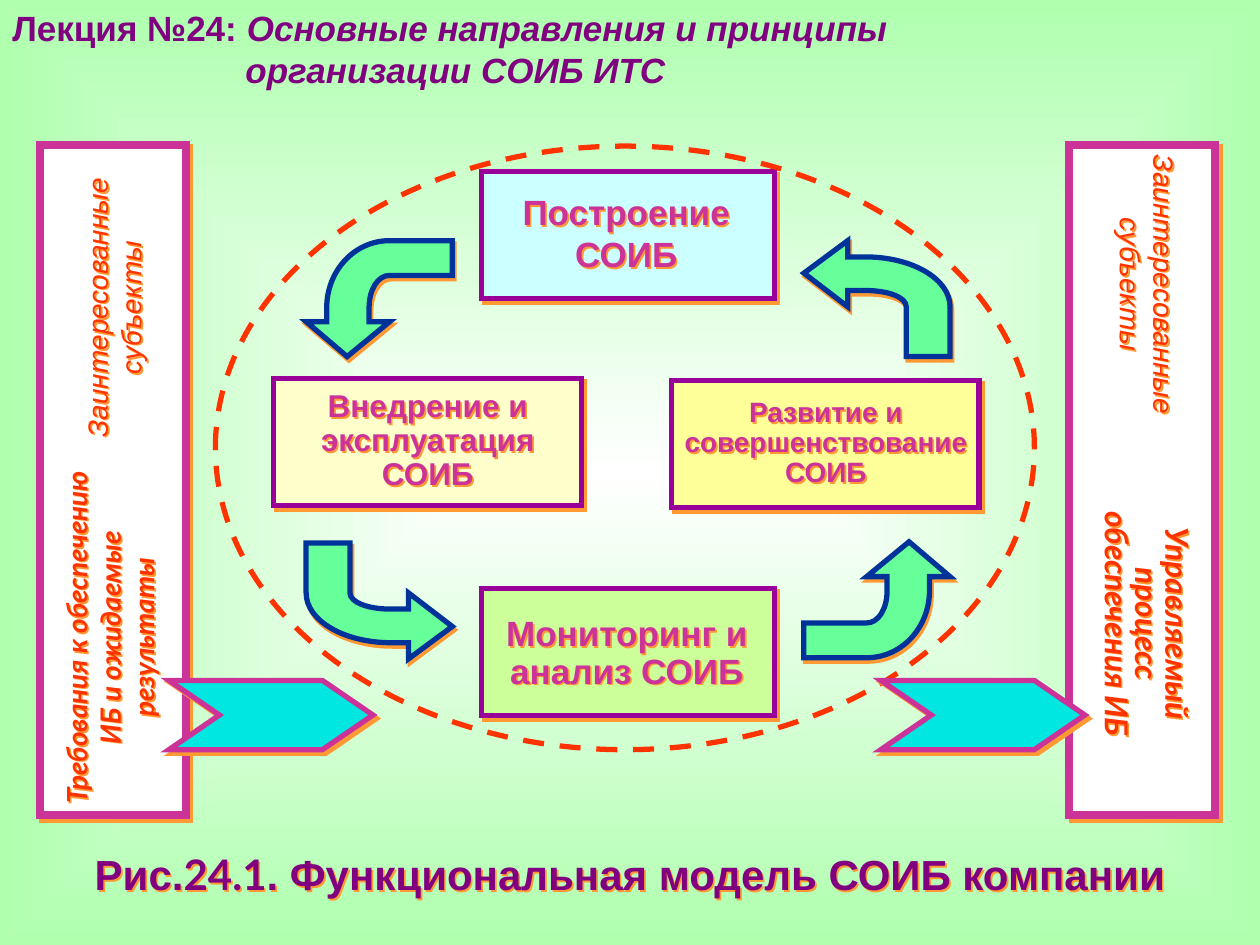
from dataclasses import dataclass
from lxml.etree import SubElement as Sub
from pptx import Presentation
from pptx.dml.color import RGBColor as Rgb
from pptx.enum.dml import MSO_LINE as Dash
from pptx.enum.shapes import MSO_SHAPE as Kind
from pptx.enum.text import MSO_ANCHOR as Anchor, MSO_AUTO_SIZE as Auto, PP_ALIGN as Align
from pptx.oxml import parse_xml
from pptx.oxml.ns import nsdecls, qn
from pptx.util import Emu, Inches, Pt

HUES = {
    "white": "FFFFFF", "mint": "AFFFAF", "plum": "800080", "pink": "CC3399",
    "edge": "990099", "glow": "FF9933", "red": "FF3300", "leaf": "66FF99",
    "navy": "003399", "aqua": "00E7E2", "sky": "CCFFFF", "lime": "CCFF99",
    "cream": "FFFFCC", "lemon": "FFFF99",
}
COLS, ROWS = 100, 75
WIDE, HIGH = Inches(10), Inches(7.5)
CURVE = [
    [(1, .72)], [(.7, 1)], [(.7, .86)], [(.58, .86)],
    [(.26, .86), (0, .67), (0, .43)], [(0, 0)], [(.3, 0)], [(.3, .43)],
    [(.3, .51), (.42, .57), (.58, .57)], [(.7, .57)], [(.7, .43)],
]


@dataclass
class Area:
    col: float
    row: float
    cols: float
    rows: float

    def emu(self) -> tuple:
        return (Emu(int(self.col * WIDE / COLS)), Emu(int(self.row * HIGH / ROWS)),
                Emu(int(self.cols * WIDE / COLS)), Emu(int(self.rows * HIGH / ROWS)))


@dataclass
class Block:
    area: Area
    fill: str | None
    line: str
    width: float = 3
    kind: Kind = Kind.RECTANGLE
    point: float | None = None


@dataclass
class Bend:
    area: Area
    spin: int


@dataclass
class Run:
    text: str
    size: float
    hue: str
    font: str = "Arial"
    bold: bool = True
    slant: bool = False


@dataclass
class Label:
    area: Area
    runs: list[Run]
    lead: float = 1
    down: bool = False
    spin: int = 0


def tint(name: str) -> Rgb:
    return Rgb.from_string(HUES[name])


def shade(shape, dist: float, angle: int) -> None:
    shape.shadow.inherit = False
    glow = Sub(shape._element.spPr.find(qn("a:effectLst")), qn("a:outerShdw"),
               dist=str(Pt(dist)), dir=str(angle * 60000), algn="ctr", rotWithShape="0")
    Sub(glow, qn("a:srgbClr"), val=HUES["glow"])


def ink(shape, fill: str | None, line: str, width: float, dash: bool = False) -> None:
    shape.shadow.inherit = False
    if fill:
        shape.fill.solid()
        shape.fill.fore_color.rgb = tint(fill)
    else:
        shape.fill.background()
    shape.line.color.rgb = tint(line)
    shape.line.width = Pt(width)
    if dash:
        shape.line.dash_style = Dash.DASH
    Sub(shape._element.spPr.find(qn("a:ln")), qn("a:miter"), lim="800000")


def draw_block(slide, block: Block) -> None:
    shape = slide.shapes.add_shape(block.kind, *block.area.emu())
    if block.point is not None:
        shape.adjustments[0] = block.point
    ink(shape, block.fill, block.line, block.width, dash=block.fill is None)
    if block.fill:
        shade(shape, 2.8, 45)


def bow(shape) -> None:
    lines = list(shape._element.iter(qn("a:lnTo")))
    for part in CURVE[1:]:
        group, lines = lines[:len(part)], lines[len(part):]
        if len(part) == 3:
            arc = group[0].makeelement(qn("a:cubicBezTo"))
            group[0].addprevious(arc)
            for line in group:
                arc.append(line[0])
                line.getparent().remove(line)


def draw_bend(slide, bend: Bend) -> None:
    left, top, wide, high = bend.area.emu()
    spots = [(int(left + x * wide), int(top + y * high)) for part in CURVE for x, y in part]
    pen = slide.shapes.build_freeform(*spots[0])
    pen.add_line_segments(spots[1:], close=True)
    shape = pen.convert_to_shape()
    bow(shape)
    shape.rotation = bend.spin
    ink(shape, "leaf", "navy", 3)
    shade(shape, 2.2, 63)


def add_runs(para, runs: list[Run]) -> None:
    for item in runs:
        run = para.add_run()
        run.text = item.text
        font = run.font
        font.name, font.size = item.font, Pt(item.size)
        font.bold, font.italic = item.bold, item.slant
        font.color.rgb = tint(item.hue)


def draw_label(slide, label: Label) -> None:
    box = slide.shapes.add_textbox(*label.area.emu())
    box.rotation = label.spin
    shade(box, 1.4, 45)
    frame = box.text_frame
    frame.word_wrap = True
    frame.auto_size = Auto.SHAPE_TO_FIT_TEXT
    frame.vertical_anchor = Anchor.MIDDLE
    frame.margin_left = frame.margin_right = frame.margin_top = frame.margin_bottom = 0
    if label.down:
        frame._txBody.bodyPr.set("vert", "eaVert")
    para = frame.paragraphs[0]
    para.alignment = Align.CENTER
    para.line_spacing = label.lead
    add_runs(para, label.runs)


def draw_title(slide) -> None:
    frame = slide.shapes.add_textbox(*Area(0, 0, 100, 7.7).emu()).text_frame
    frame.word_wrap = True
    frame.auto_size = Auto.SHAPE_TO_FIT_TEXT
    add_runs(frame.paragraphs[0], [
        Run("Лекция №24: ", 20, "plum"),
        Run("Основные направления и принципы", 20, "plum", slant=True)])
    para = frame.add_paragraph()
    props = para._p.get_or_add_pPr()
    props.set("marL", str(Inches(1.85)))
    props.set("indent", "0")
    add_runs(para, [Run("организации СОИБ ИТС", 20, "plum", slant=True)])


def paint_back(slide) -> None:
    stops = "".join(f'<a:gs pos="{pos}"><a:srgbClr val="{HUES[hue]}"/></a:gs>'
                    for pos, hue in ((0, "white"), (100000, "mint")))
    slide._element.cSld.insert(0, parse_xml(
        f'<p:bg {nsdecls("p", "a")}><p:bgPr><a:gradFill rotWithShape="0">'
        f'<a:gsLst>{stops}</a:gsLst><a:path path="shape">'
        '<a:fillToRect l="50000" t="50000" r="50000" b="50000"/></a:path>'
        '</a:gradFill><a:effectLst/></p:bgPr></p:bg>'))


PANELS = [Block(Area(col, 11.5, 11.6, 53.2), "white", "pink", 4.5) for col in (84.85, 3.15)]
STAGES = [
    Block(Area(38.2, 13.6, 23.25, 10.1), "sky", "edge"),
    Block(Area(38.2, 46.7, 23.25, 10.1), "lime", "edge"),
    Block(Area(21.7, 30.05, 24.45, 10.1), "cream", "edge"),
    Block(Area(53.3, 30.2, 24.4, 10.1), "lemon", "edge"),
]
TURNS = [Bend(Area(24.3, 43.1, 11.6, 9.2), 0), Bend(Area(25.5, 17.9, 9.2, 11.6), 90),
         Bend(Area(63.8, 19.1, 11.6, 9.2), 180), Bend(Area(65, 41.8, 9.2, 11.6), 270)]
RING = Block(Area(17.1, 11.6, 65, 47.9), None, "red", kind=Kind.OVAL)
FLOWS = [Block(Area(col, 54, 16.2, 5.5), "aqua", "pink", kind=Kind.CHEVRON, point=.73)
         for col in (13.4, 69.9)]
PARTY = [Run("Заинтересованные субъекты", 16, "red", bold=False, slant=True)]
LABELS = [
    Label(Area(40.6, 15.1, 18.2, 6.7), [Run("Построение СОИБ", 20, "pink")]),
    Label(Area(22.5, 31, 22.9, 8.1), [Run("Внедрение и эксплуатация СОИБ", 18, "pink")], .9),
    Label(Area(38.3, 48.9, 22.9, 6), [Run("Мониторинг и анализ СОИБ", 20, "pink")], .9),
    Label(Area(53.7, 31.6, 23.7, 7.2),
          [Run("Развитие и совершенствование СОИБ", 16, "pink")], .9),
    Label(Area(87.2, 40.6, 7.2, 22.4),
          [Run("Управляемый процесс обеспечения ИБ", 18, "red", "Lato", slant=True)], .8, True),
    Label(Area(88.4, 12.3, 5.4, 22.4), PARTY, down=True),
    Label(Area(6.3, 12.3, 5.4, 22.4), PARTY, down=True, spin=180),
    Label(Area(4.7, 35.1, 8, 28.7),
          [Run("Требования к обеспечению ИБ и ожидаемые результаты", 16, "red", "Lato",
               slant=True)], down=True, spin=180),
]
CAPTION = Label(Area(0, 67.8, 100, 3.6), [
    Run("Рис.", 24, "plum"), Run("24.1", 24, "plum", "Lato"),
    Run(". Функциональная модель СОИБ компании", 24, "plum")], .9)


def main() -> None:
    deck = Presentation()
    deck.slide_width, deck.slide_height = WIDE, HIGH
    slide = deck.slides.add_slide(deck.slide_layouts[6])
    paint_back(slide)
    draw_label(slide, CAPTION)
    for block in PANELS + STAGES:
        draw_block(slide, block)
    for bend in TURNS:
        draw_bend(slide, bend)
    for block in [RING] + FLOWS:
        draw_block(slide, block)
    for label in LABELS:
        draw_label(slide, label)
    draw_title(slide)
    deck.save("out.pptx")


if __name__ == "__main__":
    main()
